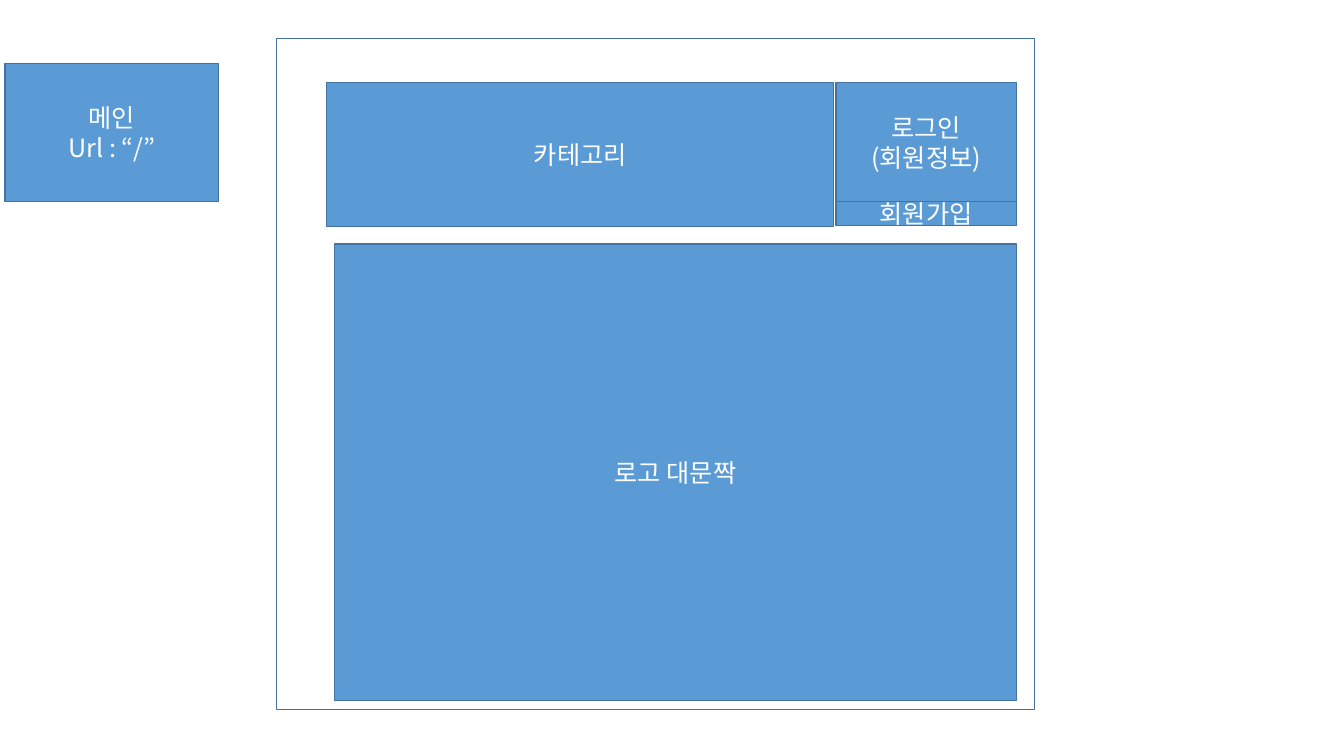
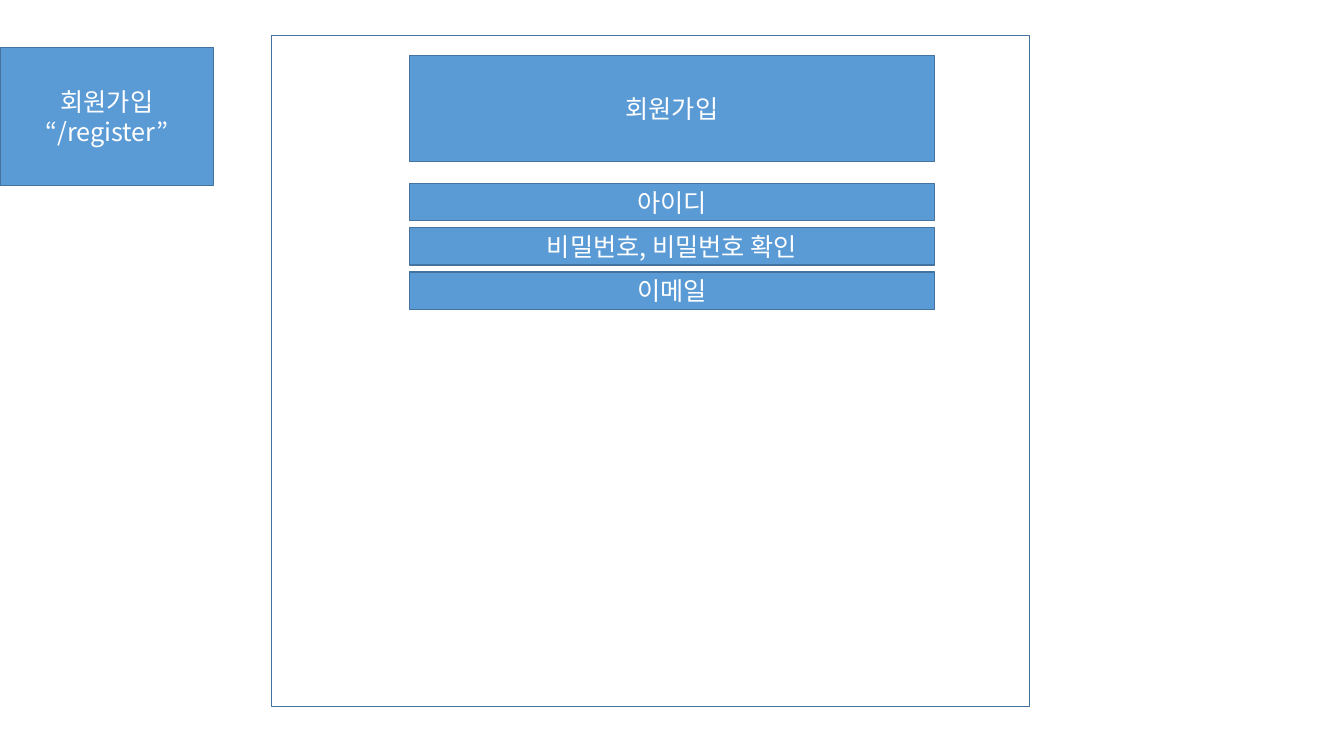
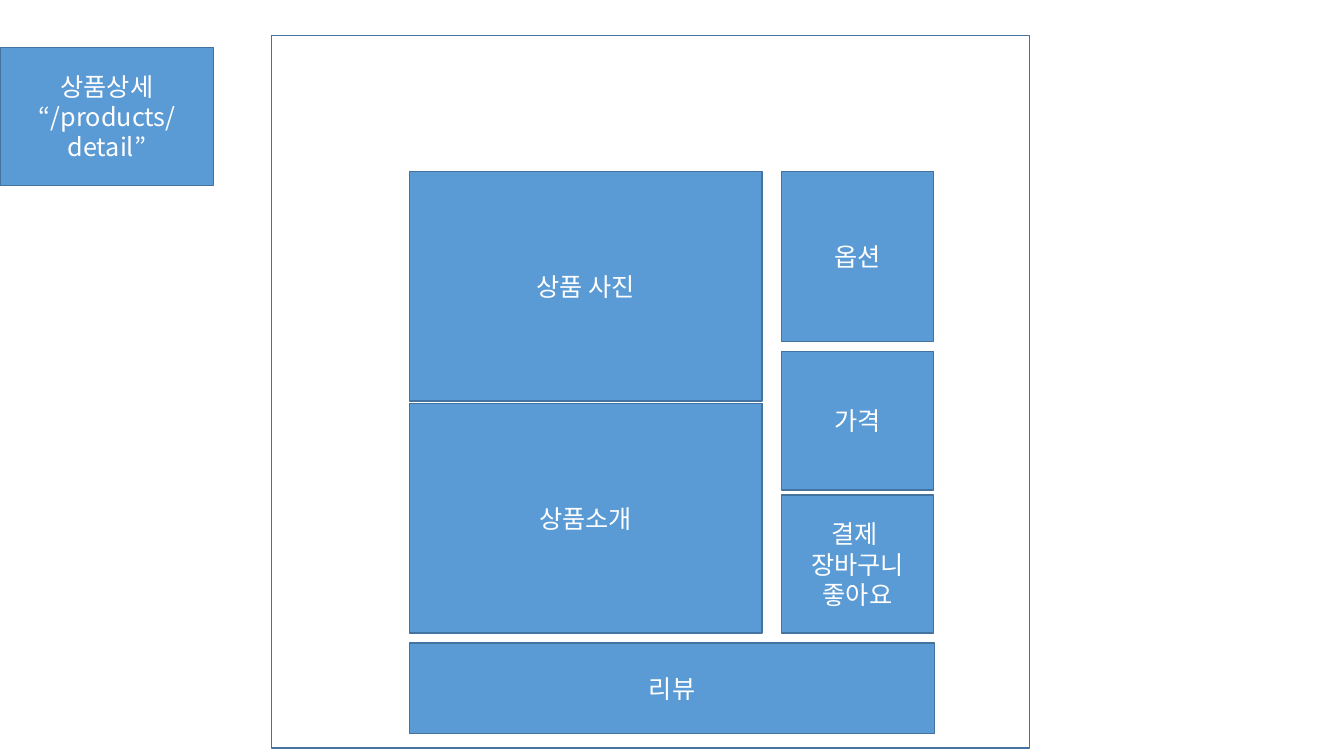
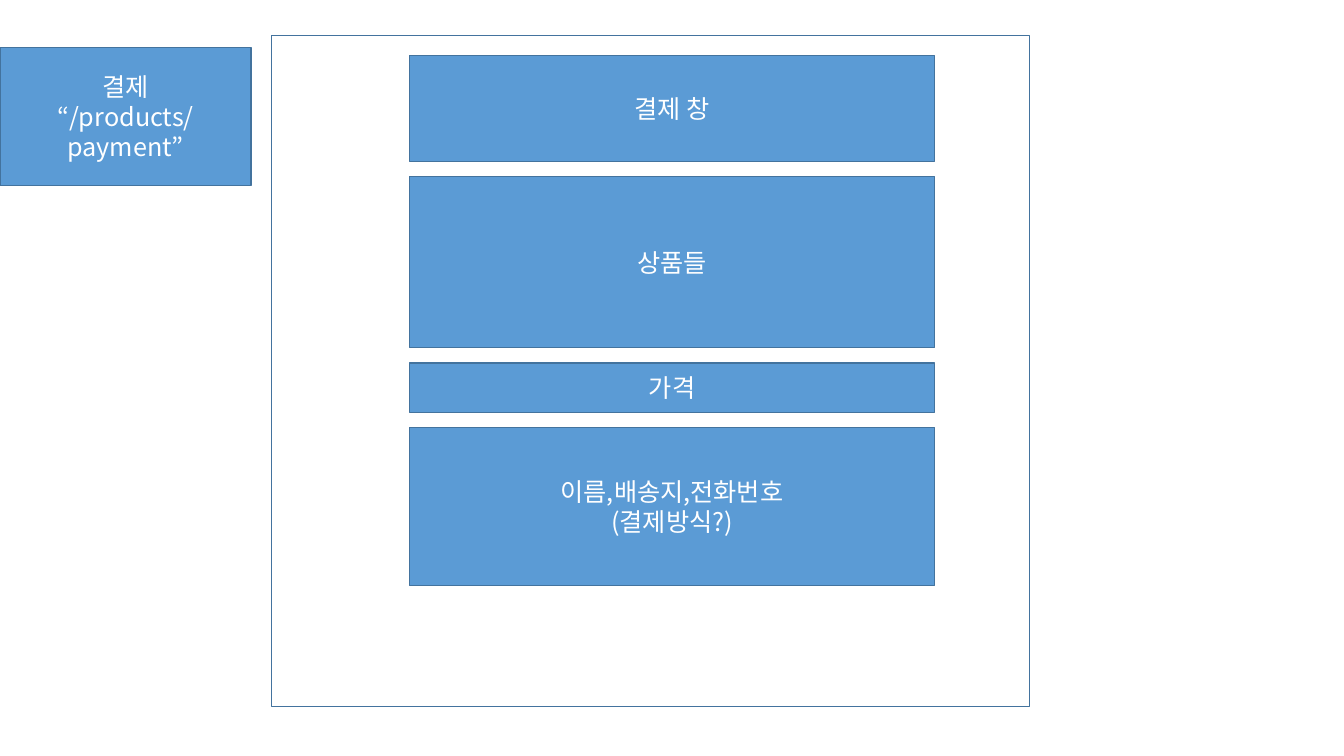
from dataclasses import dataclass

from lxml import etree
from pptx import Presentation
from pptx import util as u
from pptx.dml.color import RGBColor
from pptx.enum import shapes, text
from pptx.oxml import ns

# Shared style
BLUE = RGBColor(0x5B, 0x9B, 0xD5)
EDGE = RGBColor(0x43, 0x73, 0x9E)
WHITE = RGBColor(0xFF, 0xFF, 0xFF)
FONT = "Noto Sans CJK KR"

# Shared column for the page content
COL_X, COL_W = 4.06, 5.21
HEAD_Y, HEAD_H = 0.55, 1.05


@dataclass(frozen=True)
class Box:
    x: float
    y: float
    w: float
    h: float
    label: str = ""


@dataclass(frozen=True)
class Page:
    title: Box
    frame: Box
    areas: list[Box]


def write(tf, content: str, *, size: float = 18, color: RGBColor = WHITE,
          font: str = FONT) -> None:
    """Fill a text frame with centred paragraphs, one per line."""
    tf.word_wrap = True
    tf.auto_size = text.MSO_AUTO_SIZE.NONE
    tf.vertical_anchor = text.MSO_ANCHOR.MIDDLE
    for i, line in enumerate(content.split("\n")):
        p = tf.paragraphs[0] if i == 0 else tf.add_paragraph()
        p.alignment = text.PP_ALIGN.CENTER
        r = p.add_run()
        r.text = line
        r.font.size = u.Pt(size)
        r.font.color.rgb = color
        r.font.name = font
        east_asian = etree.SubElement(r.font._element, ns.qn("a:ea"))
        east_asian.set("typeface", font)


def paint(sp, fill: RGBColor) -> None:
    sp.fill.solid()
    sp.fill.fore_color.rgb = fill
    sp.line.color.rgb = EDGE
    sp.line.width = u.Pt(1)


def draw_box(s, box: Box, fill: RGBColor = BLUE) -> None:
    sp = s.shapes.add_shape(
        shapes.MSO_SHAPE.RECTANGLE,
        *(u.Inches(n) for n in (box.x, box.y, box.w, box.h)))
    sp.shadow.inherit = False
    paint(sp, fill)
    if box.label:
        write(sp.text_frame, box.label)


def draw_title(s, box: Box) -> None:
    sp = s.shapes.title
    sp.left, sp.top = u.Inches(box.x), u.Inches(box.y)
    sp.width, sp.height = u.Inches(box.w), u.Inches(box.h)
    paint(sp, BLUE)
    write(sp.text_frame, box.label)


def draw_page(prs, page: Page) -> None:
    s = prs.slides.add_slide(prs.slide_layouts.get_by_name("Title Only"))
    draw_box(s, page.frame, WHITE)
    for area in page.areas:
        draw_box(s, area)
    draw_title(s, page.title)


def stack(x: float, y: float, w: float, gap: float,
          rows: list[tuple[float, str]]) -> list[Box]:
    """Place rows of (height, label) below each other with an equal gap."""
    boxes = []
    for h, label in rows:
        boxes.append(Box(x, y, w, h, label))
        y += h + gap
    return boxes


def page_title(label: str, w: float = 2.12) -> Box:
    return Box(0, 0.47, w, 1.37, label)


def page_frame(h: float = 6.66) -> Box:
    return Box(2.69, 0.35, 7.52, h)


# Main page
main = Page(
    Box(0.05, 0.63, 2.12, 1.37, "메인\nUrl : “/”"),
    Box(2.74, 0.38, 7.52, 6.66),
    [Box(3.32, 2.42, 6.76, 4.53, "로고 대문짝"),
     Box(3.24, 0.82, 5.03, 1.43, "카테고리"),
     *stack(8.29, 0.82, 1.79, 0,
            [(1.18, "로그인\n(회원정보)"), (0.24, "회원가입")])])

# Registration page
register = Page(
    page_title("회원가입\n“/register”"),
    page_frame(),
    [Box(COL_X, HEAD_Y, COL_W, HEAD_H, "회원가입"),
     *stack(COL_X, 1.82, COL_W, 0.07,
            [(0.37, "아이디"), (0.37, "비밀번호, 비밀번호 확인"),
             (0.37, "이메일")])])

# Product detail page
SIDE_X, SIDE_W = 7.75, 1.51
detail = Page(
    page_title("상품상세\n“/products/detail”"),
    page_frame(7.07),
    [*stack(COL_X, 1.7, 3.5, 0.02, [(2.28, "상품 사진"), (2.28, "상품소개")]),
     Box(SIDE_X, 1.7, SIDE_W, 1.69, "옵션"),
     Box(SIDE_X, 3.49, SIDE_W, 1.37, "가격"),
     Box(SIDE_X, 4.91, SIDE_W, 1.37, "결제 \n장바구니\n좋아요"),
     Box(COL_X, 6.38, COL_W, 0.9, "리뷰")])

# Payment page
payment = Page(
    page_title("결제\n“/products/payment”", 2.49),
    page_frame(),
    stack(COL_X, HEAD_Y, COL_W, 0.15,
          [(HEAD_H, "결제 창"), (1.7, "상품들"), (0.49, "가격"),
           (1.57, "이름,배송지,전화번호\n(결제방식?)")]))

prs = Presentation()
prs.slide_width, prs.slide_height = u.Inches(13.33), u.Inches(7.5)
for page in (main, register, detail, payment):
    draw_page(prs, page)
prs.save("out.pptx")
